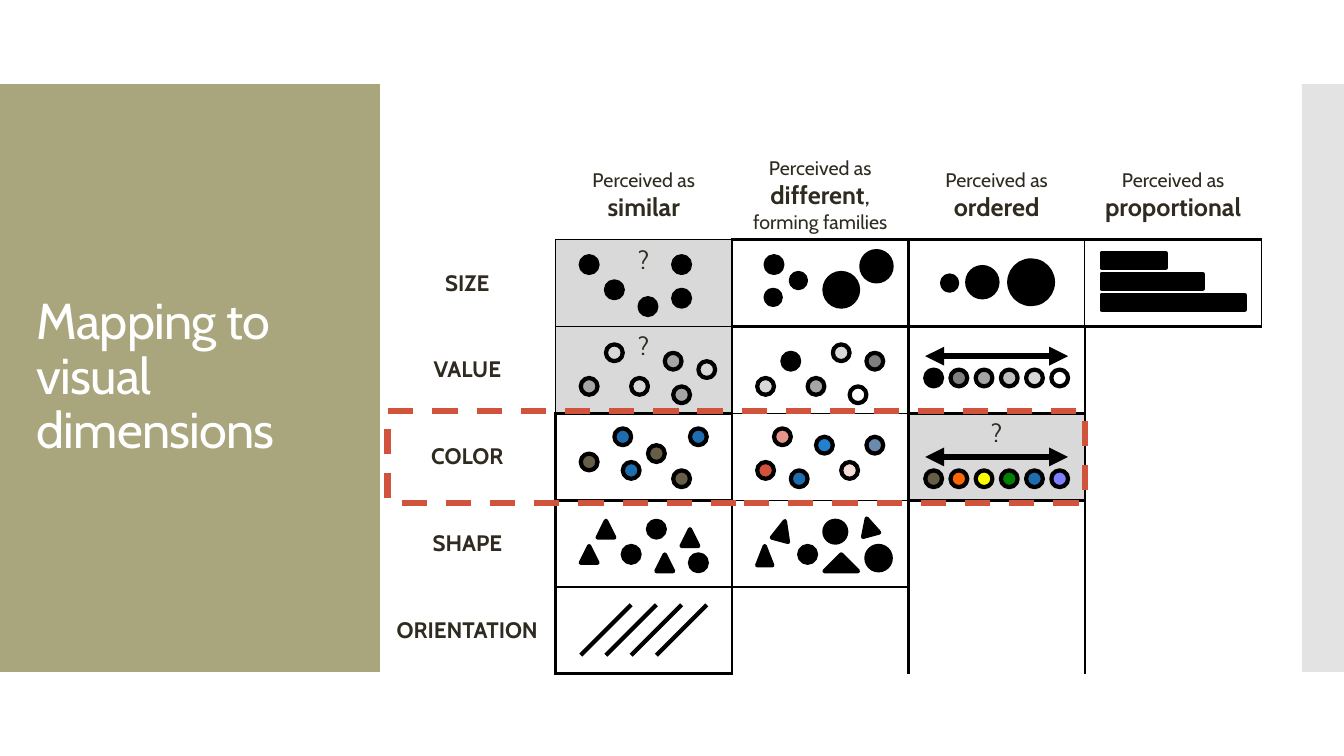
import pptx
import pptx.dml.color
import pptx.enum.dml
import pptx.enum.shapes
import pptx.enum.text
import pptx.oxml.ns
import pptx.oxml.xmlchemy
import pptx.util

Pt = pptx.util.Pt
Inches = pptx.util.Inches
OxmlElement = pptx.oxml.xmlchemy.OxmlElement
SHAPES = pptx.enum.shapes.MSO_SHAPE
MIDDLE = pptx.enum.text.MSO_ANCHOR.MIDDLE

WIDTH, HEIGHT = 13.33, 7.5
GRID_LEFT, GRID_TOP, UNIT = 3.76, 1.5, 1 / 12  # table origin and grid step, inches
COLUMN, ROW, DOT = 21, 62 / 6, 2  # in grid units
FONT, INK, BLACK, ACCENT, SHADE = "Cabin", "2F2B20", "000000", "D2533C", "D9D9D9"
THICK, MEDIUM, THIN = 2.25, 1.5, 1

HEADERS = [
    [[("Perceived as ", 14, False), ("similar", 18, True)]],
    [[("Perceived as ", 14, False), ("different", 18, True), (",", 18, False)],
     [("forming families", 14, False)]],
    [[("Perceived as ", 14, False), ("ordered", 18, True)]],
    [[("Perceived as ", 14, False), ("proportional", 18, True)]],
]
LABELS = ["SIZE", "VALUE", "COLOR", "SHAPE", "ORIENTATION"]
DOUBTFUL = [(1, 1), (2, 1), (3, 3)]

# Border widths: one list per row of cells, then one list per horizontal edge
VERTICAL = [
    [THIN, THICK, THICK, THIN, THIN],
    [THIN, THICK, THICK, THICK, 0],
    [THICK, THICK, THICK, THICK, 0],
    [THICK, THICK, THICK, THICK, 0],
    [THICK, THICK, THICK, THICK, 0],
]
HORIZONTAL = [
    [THIN, THICK, THICK, THICK],
    [THIN, THICK, THICK, THICK],
    [THICK, THIN, THICK, 0],
    [THICK, THIN, THICK, 0],
    [MEDIUM, MEDIUM, 0, 0],
    [THICK, 0, 0, 0],
]

# Column, row, diameter in grid units
BLACK_DOTS = [
    (24, 12.5, 2), (27, 15.5, 2), (31, 17.5, 2), (35, 12.5, 2), (35, 16.5, 2),
    (46, 12.5, 2), (46, 16.5, 1.8), (49, 14.5, 1.8), (53, 14.5, 4), (57.4, 11.9, 3.6),
    (67, 14.8, 1.8), (70, 13.8, 3.6), (75, 13, 5.2),
    (32, 44, 2), (29, 47, 2), (37, 48, 2), (53, 44, 2.6), (50, 47, 2), (58, 47, 2.9),
]
# Column, row, fill
VALUE_DOTS = [
    (24, 27, "A5A5A5"), (27, 23, "D8D8D8"), (30, 27, "D8D8D8"),
    (34, 24, "A5A5A5"), (35, 28, "A5A5A5"), (38, 25, "D8D8D8"),
    (45, 27, "D9D9D9"), (48, 24, BLACK), (51, 27, "A5A5A5"),
    (54, 23, "D8D8D8"), (56, 28, "FFFFFF"), (58, 24, "7F7F7F"),
]
COLOR_DOTS = [
    (24, 36, "675E47"), (28, 33, "1E6DAE"), (29, 37, "1E6DAE"),
    (32, 35, "675E47"), (35, 38, "675E47"), (37, 33, "1E6DAE"),
    (45, 37, ACCENT), (47, 33, "E39689"), (49, 38, "1E6DAE"),
    (52, 34, "2380CF"), (55, 37, "F5DBD7"), (58, 34, "6A8BAE"),
]
# Row of the dots, row of the arrow, fills from left to right
SCALES = [
    (26, 24.4, [BLACK, "7F7F7F", "A5A5A5", "BFBFBF", "D8D8D8", "FFFFFF"]),
    (38, 36.4, ["675E47", "FF6600", "FFFF00", "008000", "1E6DAE", "7F80FF"]),
]
# Column, row, width, height, rotation
TRIANGLES = [
    (26, 44, 2, 2, 0), (24, 47, 2, 2, 0), (33, 48, 2, 2, 0), (36, 45, 2, 2, 0),
    (47, 44, 2, 2.3, 15), (45, 47, 1.8, 2.3, 0), (53, 48, 4, 2, 0), (57.3, 43.7, 2, 2, -15.1),
]
BARS = [(12.1, 7.6), (14.6, 12), (17.1, 17)]


def rgb(color):
    return pptx.dml.color.RGBColor.from_string(color)


def share_box(left, top, width, height):
    """Turn shares of the slide into lengths."""
    return [Inches(share * side) for share, side in
            zip((left, top, width, height), (WIDTH, HEIGHT, WIDTH, HEIGHT))]


def grid_point(column, row):
    return Inches(GRID_LEFT + column * UNIT), Inches(GRID_TOP + row * UNIT)


def grid_box(column, row, width, height):
    return *grid_point(column, row), Inches(width * UNIT), Inches(height * UNIT)


def add_panel(slide, box, color, opacity=100):
    panel = slide.shapes.add_shape(SHAPES.RECTANGLE, *box)
    panel.shadow.inherit = False
    panel.fill.solid()
    panel.fill.fore_color.rgb = rgb(color)
    panel.line.fill.background()
    if opacity < 100:
        fill = panel._element.spPr.find(".//" + pptx.oxml.ns.qn("a:srgbClr"))
        alpha = OxmlElement("a:alpha")
        alpha.set("val", str(opacity * 1000))
        fill.append(alpha)


def add_mark(slide, kind, box, color=BLACK, rotation=0):
    mark = slide.shapes.add_shape(kind, *box)
    mark.shadow.inherit = False
    mark.fill.solid()
    mark.fill.fore_color.rgb = rgb(color)
    mark.line.color.rgb = rgb(BLACK)
    mark.line.width = Pt(3)
    mark.rotation = rotation


def add_dot(slide, column, row, color=BLACK, diameter=DOT):
    add_mark(slide, SHAPES.OVAL, grid_box(column, row, diameter, diameter), color)


def add_line(slide, start, end, width, arrows=False):
    line = slide.shapes.add_connector(pptx.enum.shapes.MSO_CONNECTOR.STRAIGHT,
                                      *grid_point(*start), *grid_point(*end))
    line.line.color.rgb = rgb(BLACK)
    line.line.width = Pt(width)
    line._element.spPr.append(OxmlElement("a:effectLst"))
    for tag in ("a:headEnd", "a:tailEnd") if arrows else ():
        arrowhead = OxmlElement(tag)
        arrowhead.set("type", "triangle")
        line.line._get_or_add_ln().append(arrowhead)


def write_cell(cell, paragraphs):
    """Fill a cell with paragraphs, each a list of (text, size, bold)."""
    frame = cell.text_frame
    for index, runs in enumerate(paragraphs):
        paragraph = frame.add_paragraph() if index else frame.paragraphs[0]
        paragraph.alignment = pptx.enum.text.PP_ALIGN.CENTER
        for text, size, bold in runs:
            run = paragraph.add_run()
            run.text = text
            run.font.name = FONT
            run.font.size = Pt(size)
            run.font.bold = bold
            run.font.color.rgb = rgb(INK)


def set_borders(cell, widths):
    """Draw left, right, top and bottom borders; a width of 0 hides one."""
    properties = cell._tc.get_or_add_tcPr()
    for index, (side, width) in enumerate(zip("LRTB", widths)):
        border = OxmlElement("a:ln" + side)
        border.set("w", str(Pt(width)))
        fill = OxmlElement("a:solidFill" if width else "a:noFill")
        if width:
            color = OxmlElement("a:srgbClr")
            color.set("val", BLACK)
            fill.append(color)
        border.append(fill)
        properties.insert(index, border)


def border_widths(row, column):
    def width_at(edges, line, position):
        inside = 0 <= line < len(edges) and 0 <= position < len(edges[line])
        return edges[line][position] if inside else 0
    return [width_at(VERTICAL, row - 1, column - 1), width_at(VERTICAL, row - 1, column),
            width_at(HORIZONTAL, row - 1, column - 1), width_at(HORIZONTAL, row, column - 1)]


def add_matrix(slide):
    table = slide.shapes.add_table(6, 5, *grid_box(0, 0, 5 * COLUMN, 6 * ROW)).table
    table.first_row = table.horz_banding = False
    style = table._tbl.tblPr.find(pptx.oxml.ns.qn("a:tableStyleId"))
    style.text = "{2D5ABB26-0587-4C30-8999-92F81FD0307C}"
    for row in range(6):
        for column in range(5):
            cell = table.cell(row, column)
            cell.fill.background()
            set_borders(cell, border_widths(row, column))
    table.cell(2, 4).merge(table.cell(5, 4))
    table.cell(4, 3).merge(table.cell(5, 3))
    for column, paragraphs in enumerate(HEADERS, 1):
        write_cell(table.cell(0, column), paragraphs)
        table.cell(0, column).vertical_anchor = MIDDLE
    for row, label in enumerate(LABELS, 1):
        write_cell(table.cell(row, 0), [[(label, 16, True)]])
        table.cell(row, 0).vertical_anchor = MIDDLE
    for position in DOUBTFUL:
        cell = table.cell(*position)
        write_cell(cell, [[("?", 18, False)]])
        cell.fill.solid()
        cell.fill.fore_color.rgb = rgb(SHADE)


def add_marks(slide):
    for column, row, diameter in BLACK_DOTS:
        add_dot(slide, column, row, diameter=diameter)
    for column, row, color in VALUE_DOTS + COLOR_DOTS:
        add_dot(slide, column, row, color)
    for dot_row, arrow_row, colors in SCALES:
        for index, color in enumerate(colors):
            add_dot(slide, 65 + 3 * index, dot_row, color)
        add_line(slide, (65, arrow_row), (82, arrow_row), 4.5, arrows=True)
    for *box, rotation in TRIANGLES:
        add_mark(slide, SHAPES.ISOSCELES_TRIANGLE, grid_box(*box), rotation=rotation)
    for row, length in BARS:
        add_mark(slide, SHAPES.RECTANGLE, grid_box(86, row, length, 1.8))
    for column in range(24, 34, 3):
        add_line(slide, (column, 60), (column + 6, 54), 3)


def add_highlight(slide):
    highlight = slide.shapes.add_shape(SHAPES.RECTANGLE, *grid_box(1, 30.9, 83, 11))
    highlight.shadow.inherit = False
    highlight.fill.background()
    highlight.line.color.rgb = rgb(ACCENT)
    highlight.line.width = Pt(4.5)
    highlight.line.dash_style = pptx.enum.dml.MSO_LINE.DASH


def add_title(slide, text):
    frame = slide.shapes.add_textbox(*share_box(0.02, 0.16, 0.24, 0.68)).text_frame
    frame.word_wrap = True
    frame.vertical_anchor = MIDDLE
    paragraph = frame.paragraphs[0]
    paragraph.line_spacing = 0.9
    run = paragraph.add_run()
    run.text = text
    run._r.get_or_add_rPr().set("spc", "-60")
    paragraph.font.name = FONT
    paragraph.font.size = Pt(36)
    paragraph.font.color.rgb = rgb("FFFFFF")


def main():
    presentation = pptx.Presentation()
    presentation.slide_width, presentation.slide_height = Inches(WIDTH), Inches(HEIGHT)
    slide = presentation.slides.add_slide(presentation.slide_layouts[6])
    add_panel(slide, share_box(0, 1 / 9, 0.28 + 1 / 360, 7 / 9), "A9A57C")
    add_panel(slide, share_box(31 / 32, 1 / 9, 1 / 32, 7 / 9), "C8C8C8", opacity=50)
    add_matrix(slide)
    add_marks(slide)
    add_highlight(slide)
    add_title(slide, "Mapping to visual dimensions")
    presentation.save("out.pptx")


if __name__ == "__main__":
    main()
